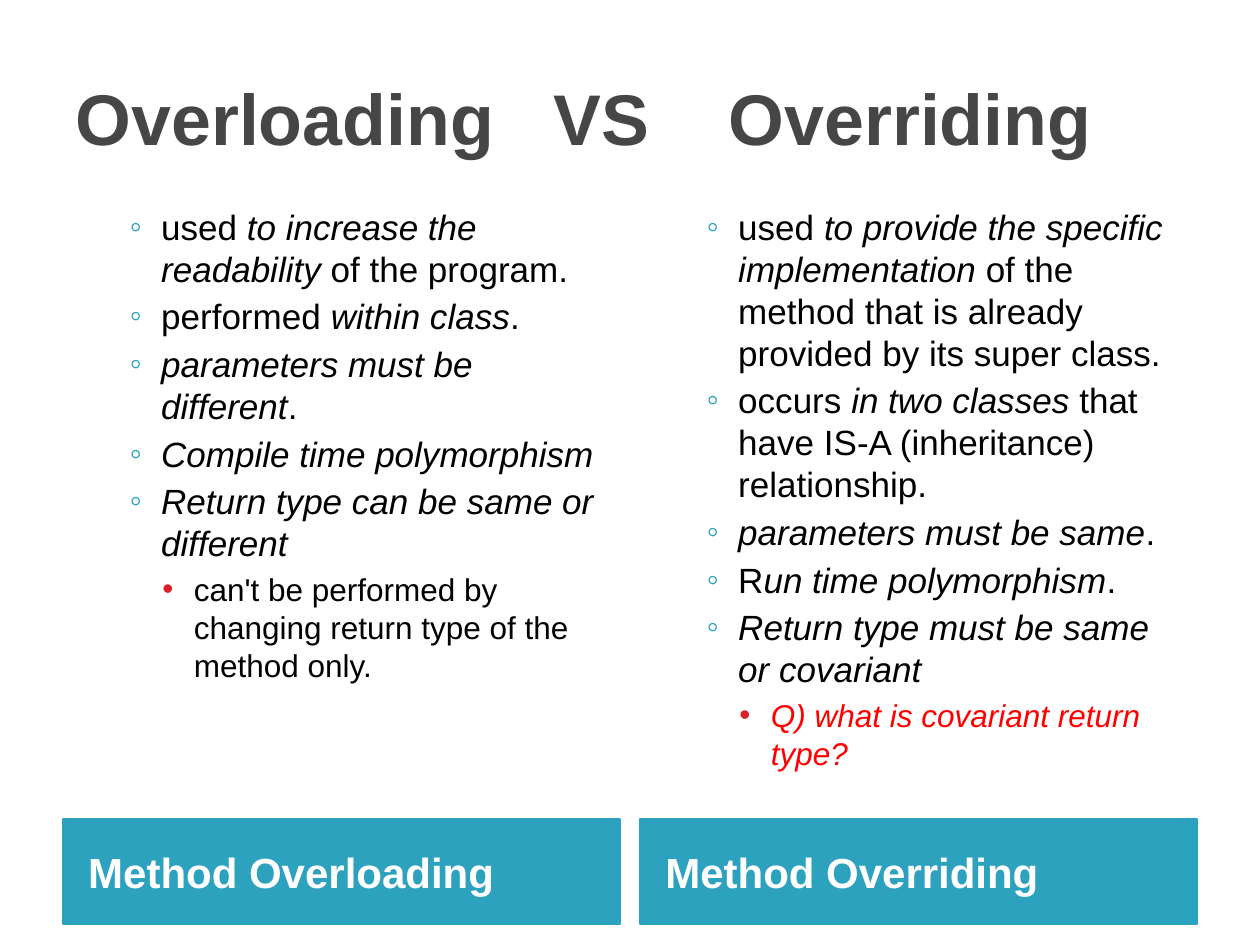
"""Build a slide that compares method overloading with overriding."""
from dataclasses import dataclass

from lxml import etree
from pptx import Presentation
from pptx.dml.color import RGBColor
from pptx.enum import shapes, text
from pptx.oxml import ns
from pptx.util import Pt

EDGE, WIDE, GAP = 36, 318.24, 11.52
TEAL, RED, BLACK, WHITE = "2DA2BF", "FF0000", "000000", "FFFFFF"


@dataclass
class Level:
    """Format of one list level."""
    size: float
    left: float
    space: float
    mark: str
    tint: str


@dataclass
class Item:
    """List entry, with asterisks around italic words."""
    words: str
    level: int = 1
    color: str = BLACK


@dataclass
class Column:
    """List with the caption bar below it."""
    name: str
    items: list[Item]


LEVELS = {1: Level(20, 49, 3.2, "◦", TEAL), 2: Level(18, 67.7, 3.5, "•", "DA1F28")}

COLUMNS = [
    Column("Method Overloading", [
        Item("used *to increase the readability* of the program."),
        Item("performed *within class*."),
        Item("*parameters must be different*."),
        Item("*Compile time polymorphism*"),
        Item("*Return type can be same or different*"),
        Item("can't be performed by changing return type of the method only.", 2),
    ]),
    Column("Method Overriding", [
        Item("used *to provide the specific implementation* of the method "
             "that is already provided by its super class."),
        Item("occurs *in two classes* that have IS-A (inheritance) relationship."),
        Item("*parameters must be same*."),
        Item("R*un time polymorphism*."),
        Item("*Return type must be same or covariant*"),
        Item("*Q) what is covariant return type?*", 2, RED),
    ]),
]


def rgb(code: str) -> RGBColor:
    """Turn a hex string into a colour."""
    return RGBColor.from_string(code)


def apply(thing, **form) -> None:
    """Set each given attribute."""
    for key, val in form.items():
        setattr(thing, key, val)


def add_run(para, words: str, color: str, size: float, **form) -> None:
    """Add a formatted run to a paragraph."""
    run = para.add_run()
    run.text = words
    apply(run.font, name="Arial", size=Pt(size), **form)
    run.font.color.rgb = rgb(color)


def add_node(parent, tag: str, **attrs):
    """Add a drawing element below a parent."""
    return etree.SubElement(parent, ns.qn(f"a:{tag}"), attrs)


def set_mark(para, level: Level) -> None:
    """Give a paragraph its hanging bullet."""
    props = para._p.get_or_add_pPr()
    para.space_before = Pt(level.space)
    props.set("marL", str(Pt(level.left)))
    props.set("indent", str(Pt(-18)))
    add_node(add_node(props, "buClr"), "srgbClr", val=level.tint)
    add_node(props, "buFont", typeface="Arial")
    add_node(props, "buChar", char=level.mark)


def draw_title(title) -> None:
    """Place the title and set its words on tab stops."""
    apply(title, left=Pt(EDGE), top=Pt(21.6), width=Pt(648), height=Pt(90))
    frame = title.text_frame
    apply(frame, auto_size=text.MSO_AUTO_SIZE.NONE,
          vertical_anchor=text.MSO_ANCHOR.MIDDLE)
    para = frame.paragraphs[0]
    para.alignment = text.PP_ALIGN.LEFT
    stops = add_node(para._p.get_or_add_pPr(), "tabLst")
    for stop in (273, 373.2):
        add_node(stops, "tab", pos=str(Pt(stop)), algn="l")
    add_run(para, "Overloading\tVS\tOverriding", "464646", 41, bold=True)


def draw_list(slide, items: list[Item], left: float) -> None:
    """Draw the bulleted list of a column."""
    box = slide.shapes.add_textbox(Pt(left), Pt(113.76), Pt(WIDE), Pt(310.3))
    frame = box.text_frame
    frame.word_wrap = True
    for num, item in enumerate(items):
        para = frame.add_paragraph() if num else frame.paragraphs[0]
        para.level = item.level
        level = LEVELS[item.level]
        set_mark(para, level)
        for part, words in enumerate(item.words.split("*")):
            if words:
                add_run(para, words, item.color, level.size, italic=part % 2 == 1)


def draw_bar(slide, name: str, left: float) -> None:
    """Draw the caption bar of a column."""
    bar = slide.shapes.add_shape(
        shapes.MSO_SHAPE.RECTANGLE, Pt(left), Pt(468), Pt(WIDE), Pt(60))
    bar.shadow.inherit = False
    bar.fill.solid()
    bar.fill.fore_color.rgb = rgb(TEAL)
    bar.line.color.rgb = rgb(TEAL)
    bar.line.width = Pt(0.75)
    frame = bar.text_frame
    apply(frame, margin_left=Pt(14.4), word_wrap=True,
          vertical_anchor=text.MSO_ANCHOR.MIDDLE)
    para = frame.paragraphs[0]
    apply(para, alignment=text.PP_ALIGN.LEFT, space_before=Pt(4))
    add_run(para, name, WHITE, 24, bold=True)


def main() -> None:
    """Build and save the slide."""
    deck = Presentation()
    apply(deck, slide_width=Pt(720), slide_height=Pt(540))
    slide = deck.slides.add_slide(deck.slide_layouts[5])
    draw_title(slide.shapes.title)
    for num, col in enumerate(COLUMNS):
        left = EDGE + num * (WIDE + GAP)
        draw_bar(slide, col.name, left)
        draw_list(slide, col.items, left)
    deck.save("out.pptx")


if __name__ == "__main__":
    main()
